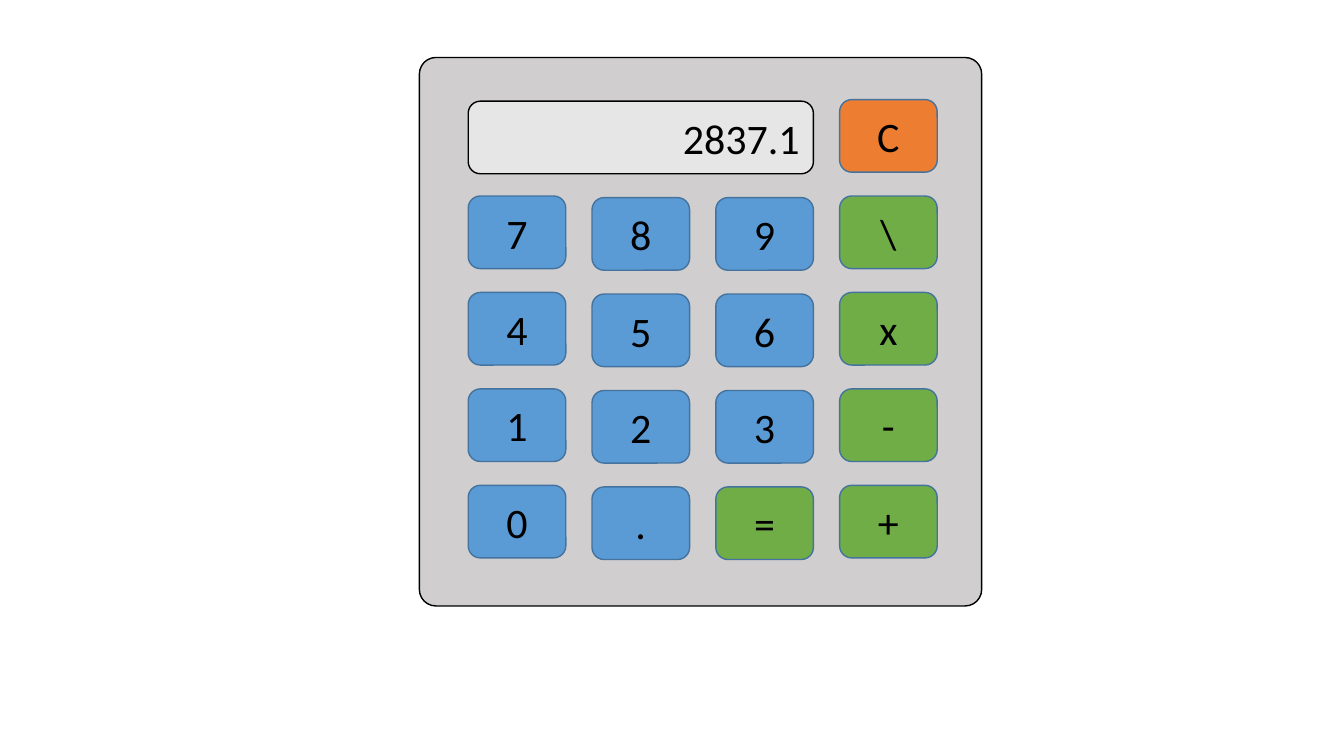
"""Build a slide showing a pocket calculator with its display and keys."""
from pptx import Presentation
from pptx.dml.color import RGBColor
from pptx.enum.shapes import MSO_SHAPE
from pptx.enum.text import MSO_ANCHOR, PP_ALIGN
from pptx.util import Cm, Pt

DISPLAY_TEXT = "2837.1"
CLEAR_KEY = "C"
KEY_ROWS = [
    ["7", "8", "9", "\\"],
    ["4", "5", "6", "x"],
    ["1", "2", "3", "-"],
    ["0", ".", "=", "+"],
]
OPERATORS = {"\\", "x", "-", "+", "="}

BODY_GREY, DISPLAY_GREY = "D0CECE", "E7E6E6"
BLUE, GREEN, ORANGE = "5B9BD5", "70AD47", "ED7D31"
KEY_EDGE, BLACK = "43739E", "000000"

KEY_WIDTH, KEY_HEIGHT = 2.46, 1.83
GRID_LEFT, GRID_TOP = 11.8, 4.94
COLUMN_STEP, ROW_STEP = 3.12, 2.43
COLUMN_DROPS = [0, 0.04, 0.04, 0]


def color(hex_text):
    return RGBColor.from_string(hex_text)


def write(box, text, size=30, font="Calibri", ink=BLACK, align=PP_ALIGN.CENTER):
    frame = box.text_frame
    frame.word_wrap = True
    frame.vertical_anchor = MSO_ANCHOR.MIDDLE
    para = frame.paragraphs[0]
    para.alignment = align
    span = para.add_run()
    span.text = text
    span.font.size = Pt(size)
    span.font.name = font
    span.font.color.rgb = color(ink)


def add_panel(page, left, top, width, height, fill, edge):
    box = page.shapes.add_shape(
        MSO_SHAPE.ROUNDED_RECTANGLE, Cm(left), Cm(top), Cm(width), Cm(height)
    )
    box.shadow.inherit = False
    box.fill.solid()
    box.fill.fore_color.rgb = color(fill)
    box.line.color.rgb = color(edge)
    box.line.width = Pt(1)
    return box


def add_key(page, text, column, row, fill):
    left = GRID_LEFT + column * COLUMN_STEP
    top = GRID_TOP + row * ROW_STEP + COLUMN_DROPS[column]
    key = add_panel(page, left, top, KEY_WIDTH, KEY_HEIGHT, fill, KEY_EDGE)
    write(key, text)


def main():
    deck = Presentation()
    deck.slide_width, deck.slide_height = Cm(33.87), Cm(19.05)
    page = deck.slides.add_slide(deck.slide_layouts[6])

    body = add_panel(page, 10.57, 1.45, 14.17, 13.82, BODY_GREY, BLACK)
    body.adjustments[0] = 0.03

    for row, labels in enumerate(KEY_ROWS):
        for column, label in enumerate(labels):
            add_key(page, label, column, row, GREEN if label in OPERATORS else BLUE)

    display_width = 2 * COLUMN_STEP + KEY_WIDTH
    display_top = GRID_TOP - ROW_STEP + 0.04
    display = add_panel(
        page, GRID_LEFT, display_top, display_width, KEY_HEIGHT, DISPLAY_GREY, BLACK
    )
    write(display, DISPLAY_TEXT, align=PP_ALIGN.RIGHT)
    add_key(page, CLEAR_KEY, 3, -1, ORANGE)

    deck.save("out.pptx")


if __name__ == "__main__":
    main()
